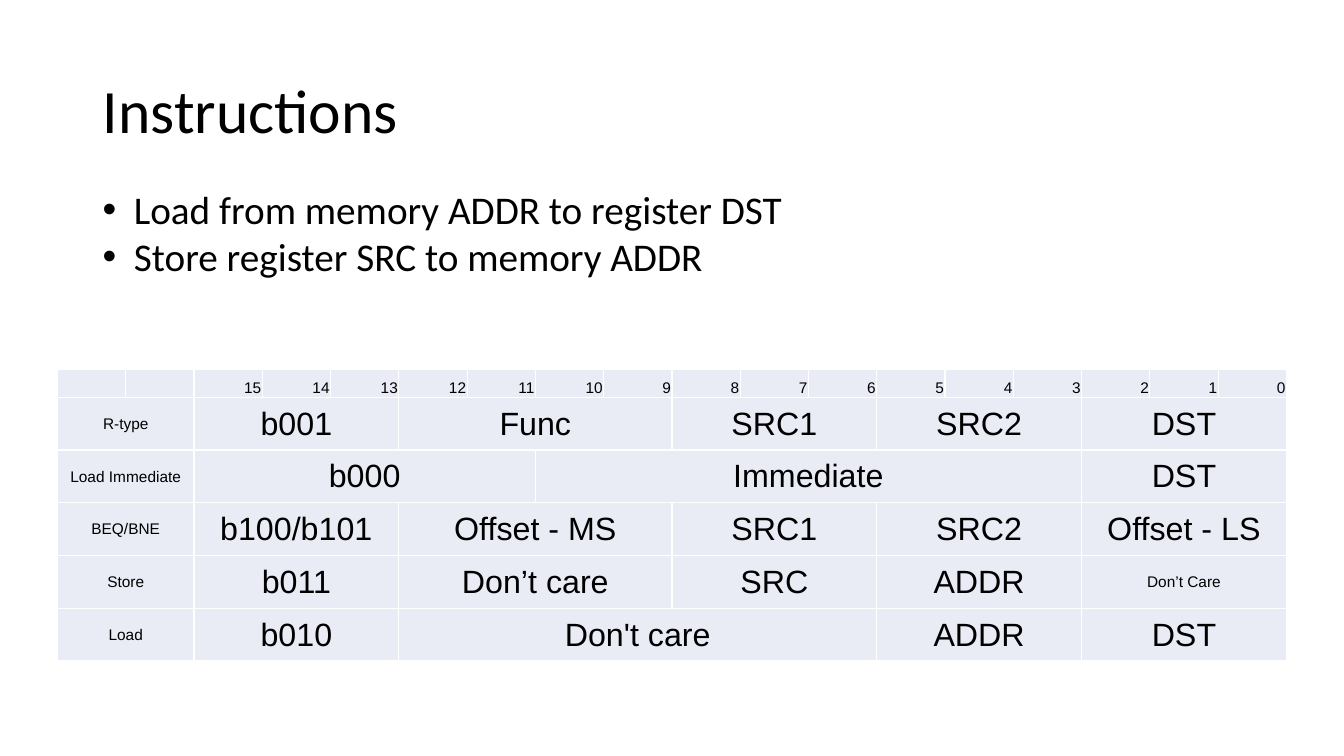
from lxml.etree import SubElement
from pptx import Presentation
from pptx.dml.color import RGBColor
from pptx.enum.text import MSO_ANCHOR as ANCHOR, PP_ALIGN as ALIGN
from pptx.oxml.ns import qn
from pptx.util import Inches, Pt

BLACK = RGBColor(0x00, 0x00, 0x00)
WHITE = RGBColor(0xFF, 0xFF, 0xFF)
CELL_FILL = RGBColor(0xE9, 0xEB, 0xF5)

SMALL, LARGE = 11, 23
LABEL_COLS, WORD_BITS = 2, 16
BULLETS = ["Load from memory ADDR to register DST",
           "Store register SRC to memory ADDR"]
# Each instruction: name, then fields as (text, width in bits)
INSTRUCTIONS = [
    ("R-type", [("b001", 3), ("Func", 4), ("SRC1", 3), ("SRC2", 3), ("DST", 3)]),
    ("Load Immediate", [("b000", 5), ("Immediate", 8), ("DST", 3)]),
    ("BEQ/BNE", [("b100/b101", 3), ("Offset - MS", 4), ("SRC1", 3),
                 ("SRC2", 3), ("Offset - LS", 3)]),
    ("Store", [("b011", 3), ("Don’t care", 4), ("SRC", 3), ("ADDR", 3),
               ("Don’t Care", 3)]),
    ("Load", [("b010", 3), ("Don't care", 7), ("ADDR", 3), ("DST", 3)]),
]


def set_font(p, name, size):
    p.font.name = name
    p.font.size = Pt(size)
    p.font.color.rgb = BLACK


def place_title(slide, text, left, top, width, height):
    title = slide.shapes.title
    title.left, title.top = Inches(left), Inches(top)
    title.width, title.height = Inches(width), Inches(height)
    tf = title.text_frame
    tf.text = text
    tf.vertical_anchor = ANCHOR.MIDDLE
    p = tf.paragraphs[0]
    p.alignment = ALIGN.LEFT
    p.line_spacing = 0.9
    set_font(p, "Calibri", 44)


def add_bullets(slide, lines, left, top, width, height):
    box = slide.shapes.add_textbox(Inches(left), Inches(top),
                                   Inches(width), Inches(height))
    tf = box.text_frame
    tf.word_wrap = True
    for i, line in enumerate(lines):
        p = tf.paragraphs[0] if i == 0 else tf.add_paragraph()
        p.text = line
        p.alignment = ALIGN.LEFT
        set_font(p, "Calibri", 28)
        pPr = p._p.get_or_add_pPr()
        pPr.set("marL", str(Inches(0.31)))
        pPr.set("indent", str(-Inches(0.31)))
        bullet_font = pPr.makeelement(qn("a:buFont"), {"typeface": "Arial"})
        bullet = pPr.makeelement(qn("a:buChar"), {"char": "•"})
        pPr.insert(0, bullet_font)
        pPr.insert(1, bullet)


def style_cell(cell):
    """Give a cell its white borders, pale fill and narrow margins."""
    cell.margin_left = cell.margin_right = cell.margin_top = Inches(0.01)
    cell.margin_bottom = 0
    tcPr = cell._tc.get_or_add_tcPr()
    for side in ("lnL", "lnR", "lnT", "lnB"):
        ln = SubElement(tcPr, qn(f"a:{side}"), w=str(Pt(1)))
        SubElement(SubElement(ln, qn("a:solidFill")), qn("a:srgbClr"),
                   val=str(WHITE))
    cell.fill.solid()
    cell.fill.fore_color.rgb = CELL_FILL
    set_font(cell.text_frame.paragraphs[0], "Arial", SMALL)


def write_cell(cell, text, size, align, anchor):
    cell.text = text
    cell.vertical_anchor = anchor
    p = cell.text_frame.paragraphs[0]
    p.alignment = align
    set_font(p, "Arial", size)


def add_encoding_table(slide, left, top, width, height):
    n_rows, n_cols = len(INSTRUCTIONS) + 1, LABEL_COLS + WORD_BITS
    table = slide.shapes.add_table(n_rows, n_cols, Inches(left), Inches(top),
                                   Inches(width), Inches(height)).table
    table.first_row = table.horz_banding = False
    header = 0.28
    for col in table.columns:
        col.width = Inches(width / n_cols)
    for r, row in enumerate(table.rows):
        row.height = Inches((height - header) / (n_rows - 1) if r else header)
    for cell in table.iter_cells():
        style_cell(cell)

    for i in range(WORD_BITS):
        write_cell(table.cell(0, LABEL_COLS + i), str(WORD_BITS - 1 - i),
                   SMALL, ALIGN.RIGHT, ANCHOR.BOTTOM)
    for r, (name, fields) in enumerate(INSTRUCTIONS, 1):
        col = 0
        for text, span in [(name, LABEL_COLS)] + fields:
            cell = table.cell(r, col)
            cell.merge(table.cell(r, col + span - 1))
            size = SMALL if col == 0 or text == "Don’t Care" else LARGE
            write_cell(cell, text, size, ALIGN.CENTER, ANCHOR.MIDDLE)
            col += span


def main():
    prs = Presentation()
    prs.slide_width, prs.slide_height = Inches(13.33), Inches(7.5)
    slide = prs.slides.add_slide(prs.slide_layouts[5])
    place_title(slide, "Instructions", 0.92, 0.4, 11.5, 1.45)
    add_bullets(slide, BULLETS, 0.92, 1.79, 11.5, 1.04)
    add_encoding_table(slide, 0.57, 3.66, 12.19, 2.9)
    prs.save("out.pptx")


if __name__ == "__main__":
    main()
